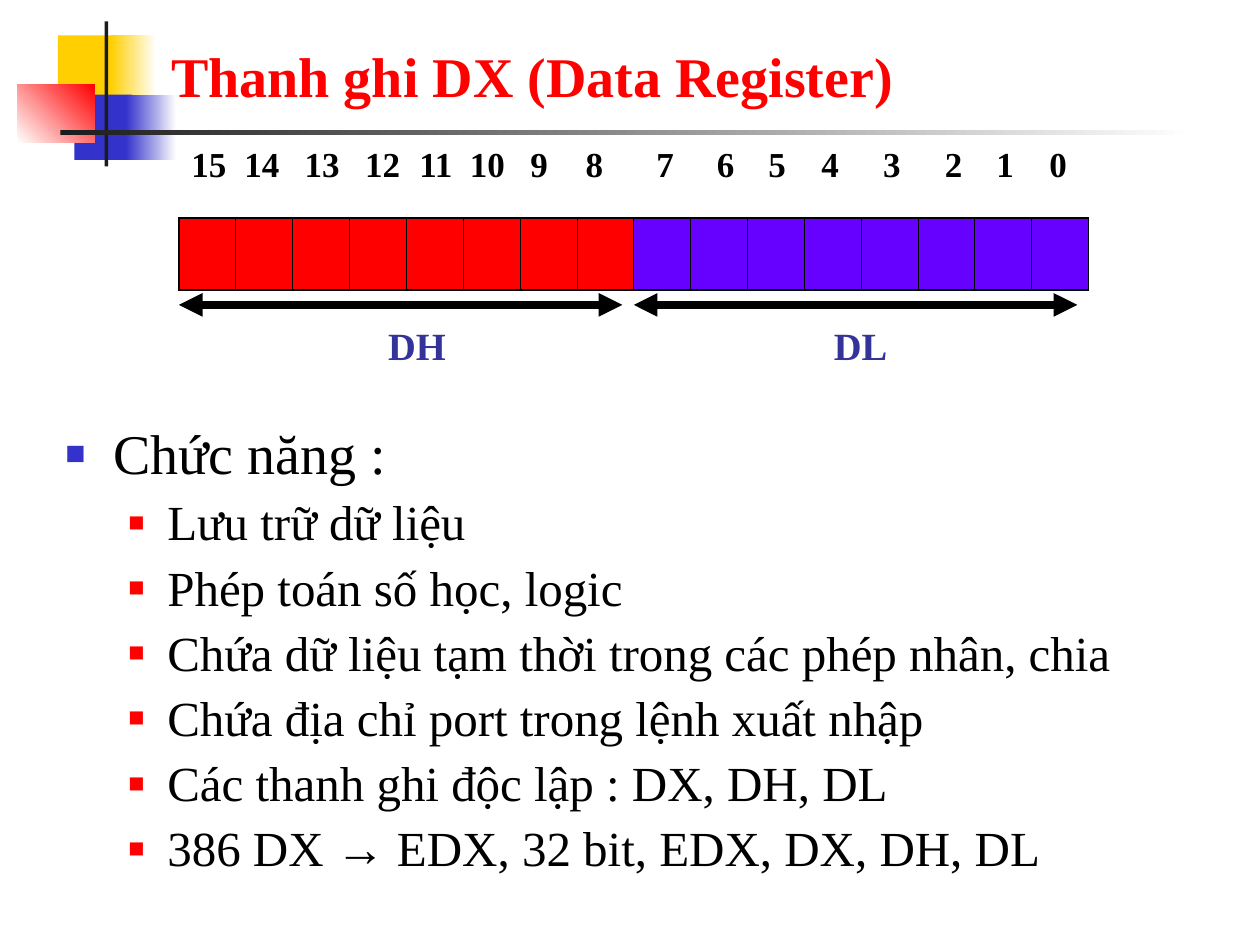
from pptx import Presentation
from pptx.dml.color import RGBColor
from pptx.enum.shapes import MSO_CONNECTOR as Conn, MSO_SHAPE as Shape
from pptx.enum.text import MSO_ANCHOR as Anchor, PP_ALIGN as Align
from pptx.oxml.ns import qn
from pptx.util import Inches, Pt
from lxml.etree import SubElement

COLORS = {
    "white": "FFFFFF", "black": "000000", "ink": "1C1C1C",
    "yellow": "FFCF01", "blue": "3333CC", "red": "FF0000",
    "violet": "6600FF", "navy": "333399",
}
FONT = "Times New Roman"
BITS = 16
CELL = 7.22 / BITS
BIT_STOPS = [0.42, 0.9, 1.38, 1.81, 2.21, 2.69, 3.13, 3.69,
             4.17, 4.58, 5, 5.49, 5.98, 6.39, 6.81]
FUNCTIONS = [
    [("Lưu trữ dữ liệu", FONT)],
    [("Phép toán số học, logic", FONT)],
    [("Chứa dữ liệu tạm thời trong các phép nhân, chia", FONT)],
    [("Chứa địa chỉ port trong lệnh xuất nhập", FONT)],
    [("Các thanh ghi độc lập : DX, DH, DL", FONT)],
    [("386 DX ", FONT), ("→", "Arial"), (" EDX, 32 bit, EDX, DX, DH, DL", FONT)],
]


def rgb(name):
    return RGBColor.from_string(COLORS[name])


class Deck:
    def __init__(self, prs):
        self.s = prs.slides.add_slide(prs.slide_layouts[6])

    def block(self, x, y, w, h, color, end=None, angle=0):
        sp = self.s.shapes.add_shape(Shape.RECTANGLE, Inches(x), Inches(y), Inches(w), Inches(h))
        sp.shadow.inherit = False
        sp.line.fill.background()
        if end:
            sp.fill.gradient()
            sp.fill.gradient_angle = angle
            for stop, name, pos in zip(sp.fill.gradient_stops, (color, end), (0, 1)):
                stop.color.rgb = rgb(name)
                stop.position = pos
        else:
            sp.fill.solid()
            sp.fill.fore_color.rgb = rgb(color)

    def box(self, x, y, w, h, anchor=Anchor.TOP):
        tf = self.s.shapes.add_textbox(Inches(x), Inches(y), Inches(w), Inches(h)).text_frame
        tf.word_wrap = True
        tf.vertical_anchor = anchor
        return tf

    def text(self, p, runs, size, color, bold=False, before=0, align=Align.LEFT):
        p.alignment = align
        p.space_before = Pt(before)
        for words, font in runs:
            r = p.add_run()
            r.text = words
            r.font.name = font
            r.font.size = Pt(size)
            r.font.bold = bold
            r.font.color.rgb = rgb(color)

    def bullet(self, p, color, percent, left, hang):
        p.line_spacing = 0.9
        pPr = p._p.get_or_add_pPr()
        pPr.set("marL", str(Inches(left)))
        pPr.set("indent", str(-Inches(hang)))
        SubElement(SubElement(pPr, qn("a:buClr")), qn("a:srgbClr"), val=COLORS[color])
        SubElement(pPr, qn("a:buSzPct"), val=str(percent * 1000))
        SubElement(pPr, qn("a:buFont"), typeface="Arial")
        SubElement(pPr, qn("a:buChar"), char="■")

    def tabs(self, p, stops):
        tab_list = SubElement(p._p.get_or_add_pPr(), qn("a:tabLst"))
        for stop in stops:
            SubElement(tab_list, qn("a:tab"), pos=str(Inches(stop)), algn="l")

    def register(self, x, y, h, fills):
        n = len(fills)
        table = self.s.shapes.add_table(1, n, Inches(x), Inches(y), Inches(CELL * n), Inches(h)).table
        table.first_row = table.horz_banding = False
        for i, fill in enumerate(fills):
            table.columns[i].width = Inches(CELL)
            cell = table.cell(0, i)
            widths = {"L": 0.45 if i else 1.08, "R": 0.45 if i < n - 1 else 1.08,
                      "T": 1.08, "B": 1.08}
            self.borders(cell, widths)
            cell.fill.solid()
            cell.fill.fore_color.rgb = rgb(fill)

    def borders(self, cell, widths):
        tcPr = cell._tc.get_or_add_tcPr()
        for side, width in widths.items():
            ln = SubElement(tcPr, qn(f"a:ln{side}"), w=str(Pt(width)))
            SubElement(SubElement(ln, qn("a:solidFill")), qn("a:srgbClr"), val=COLORS["black"])

    def arrow(self, x1, x2, y):
        c = self.s.shapes.add_connector(Conn.STRAIGHT, Inches(x1), Inches(y), Inches(x2), Inches(y))
        c.line.width = Pt(4.5)
        c.line.color.rgb = rgb("black")
        spPr = c._element.spPr
        for end in ("headEnd", "tailEnd"):
            SubElement(spPr.find(qn("a:ln")), qn(f"a:{end}"), type="triangle")
        SubElement(spPr, qn("a:effectLst"))


def main():
    prs = Presentation()
    prs.slide_width, prs.slide_height = Inches(10), Inches(7.5)
    d = Deck(prs)

    d.block(0.46, 0.28, 0.48, 0.52, "yellow")
    d.block(0.88, 0.28, 0.36, 0.52, "yellow", "white")
    d.block(0.59, 0.75, 0.46, 0.52, "blue")
    d.block(1, 0.75, 0.4, 0.52, "blue", "white")
    d.block(0.14, 0.67, 0.61, 0.46, "white", "red", 45)
    d.block(0.83, 0.17, 0.03, 1.15, "ink")
    d.block(0.48, 1.03, 9, 0.04, "ink", "white")

    tf = d.box(1.26, 0.23, 8.52, 0.68, Anchor.BOTTOM)
    d.text(tf.paragraphs[0], [("Thanh ghi DX (Data Register)", FONT)], 32, "red", bold=True)

    tf = d.box(0.42, 3.33, 9.58, 3.92)
    p = tf.paragraphs[0]
    d.text(p, [("Chức năng :", FONT)], 32, "black", before=8)
    d.bullet(p, "blue", 60, 0.38, 0.38)
    for runs in FUNCTIONS:
        p = tf.add_paragraph()
        p.level = 1
        d.text(p, runs, 28, "black", before=7)
        d.bullet(p, "red", 55, 0.81, 0.31)

    half = BITS // 2
    d.register(1.42, 1.73, 0.57, ["red"] * half + ["violet"] * half)

    p = d.box(1.42, 1.08, 7.49, 0.44).paragraphs[0]
    numbers = "\t".join(str(bit) for bit in reversed(range(BITS)))
    d.text(p, [(numbers, FONT)], 20, "black", bold=True, before=12.5)
    d.tabs(p, BIT_STOPS)

    for name, x, label_x in (("DH", 1.42, 2.23), ("DL", 5.03, 5.75)):
        d.arrow(x, x + 3.52, 2.42)
        p = d.box(label_x, 2.51, 2.16, 0.47).paragraphs[0]
        d.text(p, [(name, FONT)], 22, "navy", bold=True, before=13.8, align=Align.CENTER)

    prs.save("out.pptx")


if __name__ == "__main__":
    main()
